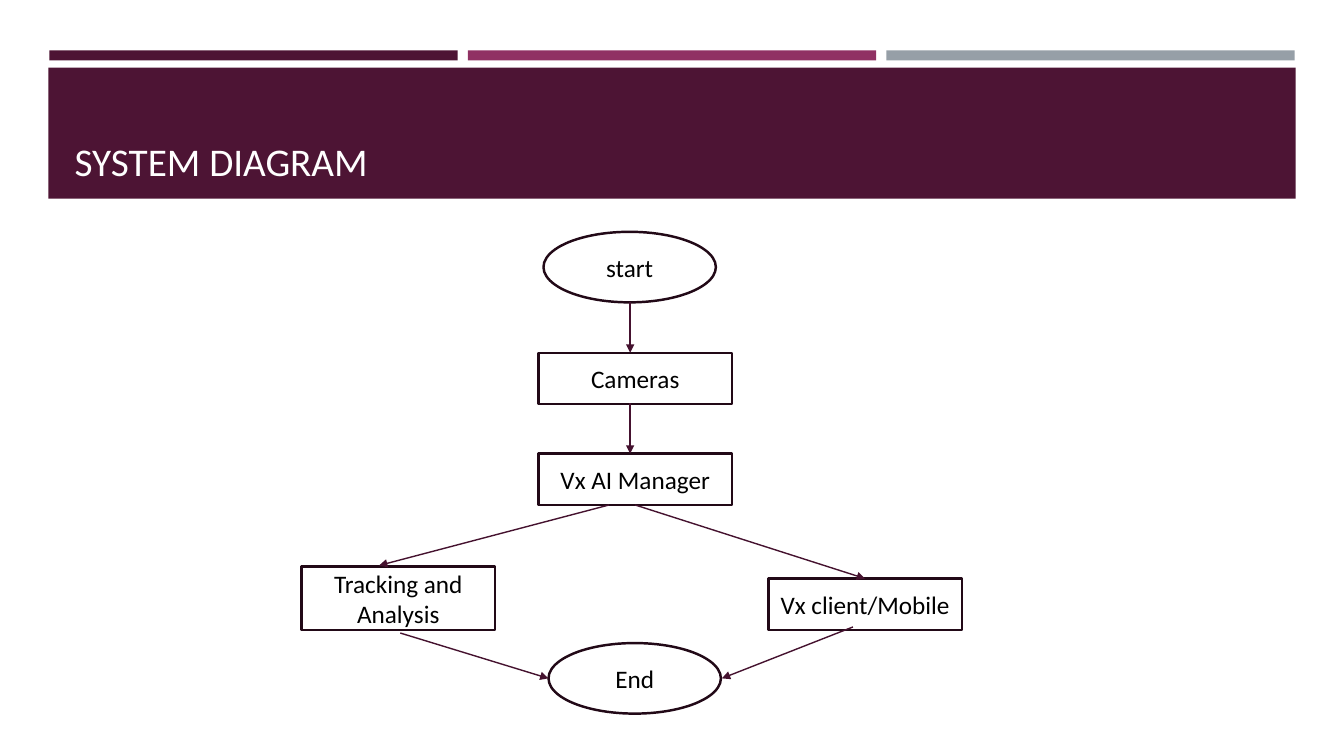
from dataclasses import dataclass

from lxml import etree
from pptx import Presentation
from pptx.dml.color import RGBColor
from pptx.enum.shapes import MSO_CONNECTOR, MSO_SHAPE
from pptx.enum.text import MSO_ANCHOR, MSO_AUTO_SIZE, PP_ALIGN
from pptx.oxml.ns import qn
from pptx.util import Inches, Pt

RECT, ELLIPSE = MSO_SHAPE.RECTANGLE, MSO_SHAPE.OVAL
STRAIGHT = MSO_CONNECTOR.STRAIGHT
LEFT, CENTER = PP_ALIGN.LEFT, PP_ALIGN.CENTER
MIDDLE, BOTTOM = MSO_ANCHOR.MIDDLE, MSO_ANCHOR.BOTTOM
TOP_SIDE, BOTTOM_SIDE = 0, 2
TITLE_ONLY = 5


@dataclass(frozen=True)
class Theme:
    """Colours, font and sizes of the slide."""
    plum: str = "4D1434"
    berry: str = "903163"
    grey: str = "969FA7"
    white: str = "FFFFFF"
    black: str = "000000"
    outline: str = "220917"
    arrow: str = "45122F"
    font: str = "Calibri"
    title_size: float = 28
    node_size: float = 18
    outline_width: float = 1.75
    arrow_width: float = 1


THEME = Theme()


def rgb(colour):
    """Turn a hex string into a colour."""
    return RGBColor.from_string(colour)


def write_text(frame, text, *, size, colour, align, anchor):
    """Write one paragraph per line of text in the given format."""
    frame.word_wrap = True
    frame.auto_size = MSO_AUTO_SIZE.NONE
    frame.vertical_anchor = anchor
    frame.text = text
    for paragraph in frame.paragraphs:
        paragraph.alignment = align
        paragraph.font.name = THEME.font
        paragraph.font.size = Pt(size)
        paragraph.font.color.rgb = rgb(colour)


def add_block(slide, kind, left, top, width, height, fill):
    """Add a plain filled shape without a line."""
    block = slide.shapes.add_shape(
        kind, Inches(left), Inches(top), Inches(width), Inches(height))
    block.shadow.inherit = False
    block.fill.solid()
    block.fill.fore_color.rgb = rgb(fill)
    block.line.fill.background()
    return block


def add_node(slide, kind, text, left, top, width, height):
    """Add an outlined flowchart node with its label."""
    node = add_block(slide, kind, left, top, width, height, THEME.white)
    node.line.color.rgb = rgb(THEME.outline)
    node.line.width = Pt(THEME.outline_width)
    write_text(node.text_frame, text, size=THEME.node_size, colour=THEME.black,
               align=CENTER, anchor=MIDDLE)
    return node


def add_arrow(slide, start, end):
    """Add a straight arrow between two points."""
    arrow = slide.shapes.add_connector(
        STRAIGHT, *(Inches(length) for length in (*start, *end)))
    arrow.line.color.rgb = rgb(THEME.arrow)
    arrow.line.width = Pt(THEME.arrow_width)
    properties = arrow.line._get_or_add_ln()
    etree.SubElement(properties, qn("a:tailEnd"), type="triangle")
    etree.SubElement(properties.getparent(), qn("a:effectLst"))
    return arrow


def add_header(slide):
    """Draw the accent bars and the title band, with the title on top."""
    for index, colour in enumerate((THEME.plum, THEME.berry, THEME.grey)):
        add_block(slide, RECT, 0.49 + index * 4.15, 0.5, 4.05, 0.1, colour)
    add_block(slide, RECT, 0.48, 0.67, 12.37, 1.3, THEME.plum)
    title = slide.shapes.title
    title.left, title.top = Inches(0.64), Inches(0.77)
    title.width, title.height = Inches(12.06), Inches(1.11)
    write_text(title.text_frame, "SYSTEM DIAGRAM", size=THEME.title_size,
               colour=THEME.white, align=LEFT, anchor=BOTTOM)
    slide.shapes._spTree.append(title._element)


def add_flowchart(slide):
    """Draw the nodes and the arrows between them."""
    add_node(slide, ELLIPSE, "start", 5.39, 2.3, 1.71, 0.7)
    add_node(slide, RECT, "Cameras", 5.34, 3.5, 1.92, 0.51)
    manager = add_node(slide, RECT, "Vx AI Manager", 5.34, 4.5, 1.92, 0.51)
    add_node(slide, RECT, "Tracking and\nAnalysis", 2.99, 5.62, 1.92, 0.63)
    client = add_node(slide, RECT, "Vx client/Mobile", 7.62, 5.74, 1.92, 0.51)
    add_node(slide, ELLIPSE, "End", 5.44, 6.38, 1.71, 0.7)

    for start, end in (
        ((6.25, 3), (6.25, 3.5)),
        ((6.25, 4), (6.25, 4.5)),
        ((6.04, 5.01), (3.76, 5.61)),
        ((3.97, 6.28), (5.44, 6.73)),
        ((8.46, 6.22), (7.16, 6.73)),
    ):
        add_arrow(slide, start, end)
    to_client = add_arrow(slide, (6.3, 5.01), (8.58, 5.74))
    to_client.begin_connect(manager, BOTTOM_SIDE)
    to_client.end_connect(client, TOP_SIDE)


def main():
    """Build and save the slide."""
    deck = Presentation()
    deck.slide_width, deck.slide_height = Inches(13.33), Inches(7.5)
    slide = deck.slides.add_slide(deck.slide_layouts[TITLE_ONLY])
    add_header(slide)
    add_flowchart(slide)
    deck.save("out.pptx")


if __name__ == "__main__":
    main()
